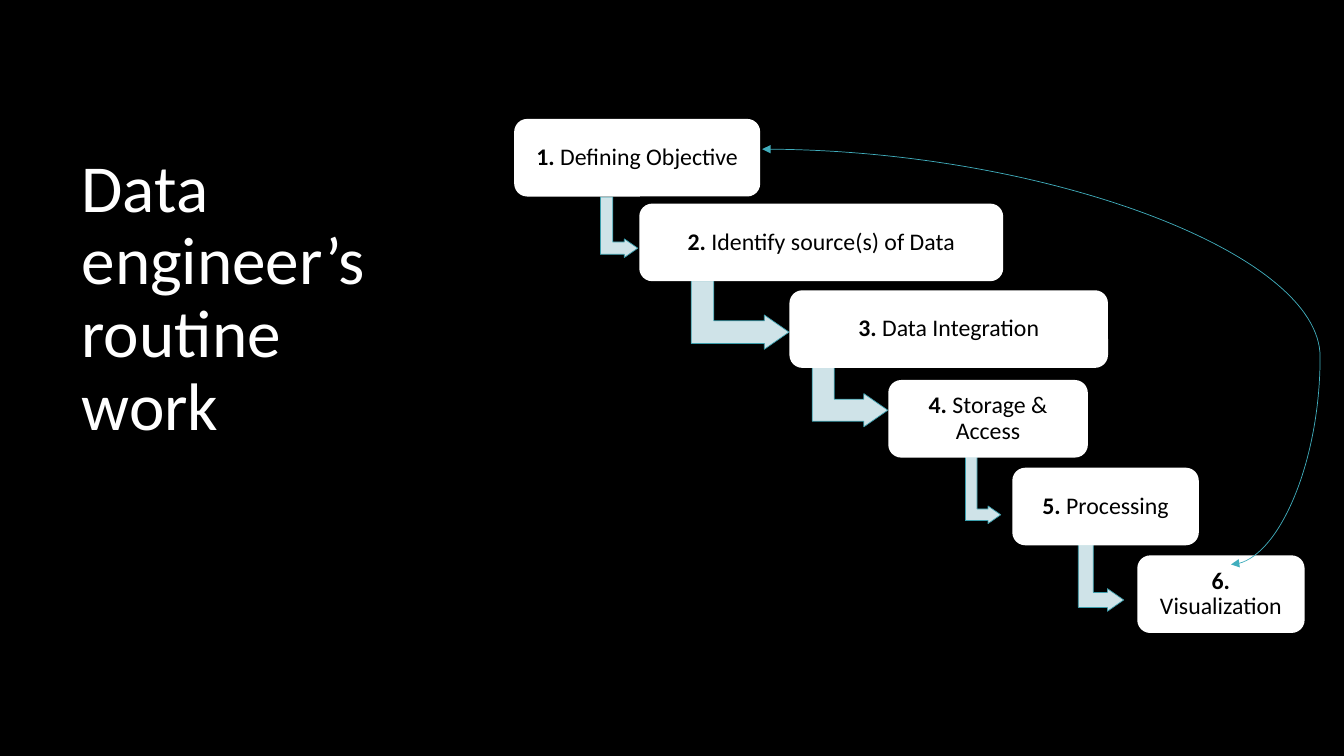
import pptx
import pptx.dml.color
import pptx.enum.shapes
import pptx.enum.text
import pptx.oxml.ns
import pptx.util
from lxml import etree

Inches = pptx.util.Inches
Shape = pptx.enum.shapes.MSO_SHAPE
Align = pptx.enum.text.PP_ALIGN
Anchor = pptx.enum.text.MSO_ANCHOR

COLORS = {"black": "000000", "white": "FFFFFF", "arrow": "CFE3E8",
          "arrow_edge": "3B9EAC", "loop": "41AEBD"}
STEP_HEIGHT = 0.77

# Step text, left, top, width
STEPS = [
    ("Defining Objective", 5.1, 1.18, 2.44),
    ("Identify source(s) of Data", 6.34, 2.02, 3.61),
    ("Data Integration", 7.83, 2.88, 3.16),
    ("Storage & Access", 8.81, 3.77, 1.98),
    ("Processing", 10.04, 4.64, 1.85),
    ("Visualization", 11.28, 5.51, 1.66),
]
# Frame of each arrow before its quarter turn
ARROWS = [
    (5.84, 2.07, 0.6, 0.37),
    (7, 2.64, 0.68, 0.97),
    (8.1, 3.53, 0.66, 0.75),
    (9.42, 4.69, 0.66, 0.35),
    (10.59, 5.51, 0.66, 0.45),
]


def color(name):
    return pptx.dml.color.RGBColor.from_string(COLORS[name])


def add_xml(parent, tag, **attributes):
    return etree.SubElement(parent, pptx.oxml.ns.qn(tag), attributes)


def set_all(target, values):
    for name, value in values.items():
        setattr(target, name, value)


class SlideBuilder:
    font = "Calibri"
    line_width = pptx.util.Pt(0.5)

    def __init__(self, deck):
        self.page = deck.slides.add_slide(deck.slide_layouts[5])
        fill = self.page.background.fill
        fill.solid()
        fill.fore_color.rgb = color("black")

    def shape(self, kind, frame, fill, line=None):
        box = self.page.shapes.add_shape(kind, *map(Inches, frame))
        box.shadow.inherit = False
        box.fill.solid()
        box.fill.fore_color.rgb = color(fill)
        if line:
            box.line.color.rgb = color(line)
            box.line.width = self.line_width
        else:
            box.line.fill.background()
        return box

    def span(self, para, text, size, ink, bold=False):
        span = para.add_run()
        span.text = text
        set_all(span.font, {"name": self.font, "size": pptx.util.Pt(size), "bold": bold})
        span.font.color.rgb = color(ink)

    def panel(self, frame, opacity=None):
        box = self.shape(Shape.RECTANGLE, frame, "black")
        if opacity:
            tint = box.element.spPr.find(".//" + pptx.oxml.ns.qn("a:srgbClr"))
            add_xml(tint, "a:alpha", val=str(opacity * 1000))
        # Panels lie behind the title
        self.page.shapes.title.element.addprevious(box.element)

    def title(self, text, frame):
        title = self.page.shapes.title
        set_all(title, dict(zip(("left", "top", "width", "height"), map(Inches, frame))))
        set_all(title.text_frame, {"word_wrap": True, "vertical_anchor": Anchor.TOP,
                                   "auto_size": pptx.enum.text.MSO_AUTO_SIZE.NONE})
        para = title.text_frame.paragraphs[0]
        set_all(para, {"alignment": Align.LEFT, "line_spacing": 0.9})
        self.span(para, text, 48, "white")

    def step(self, number, text, frame):
        box = self.shape(Shape.ROUNDED_RECTANGLE, frame, "white")
        inset = Inches(0.07)
        set_all(box.text_frame, {"word_wrap": True, "vertical_anchor": Anchor.MIDDLE,
                                 "margin_left": inset, "margin_right": inset,
                                 "margin_top": inset, "margin_bottom": inset})
        para = box.text_frame.paragraphs[0]
        set_all(para, {"alignment": Align.CENTER, "line_spacing": 0.9})
        self.span(para, f"{number}. ", 17, "black", bold=True)
        self.span(para, text, 17, "black")

    def bent_arrow(self, frame):
        arrow = self.shape(Shape.BENT_UP_ARROW, frame, "arrow", "arrow_edge")
        arrow.rotation = 90
        for index, value in enumerate((0.33, 0.25, 0.36)):
            arrow.adjustments[index] = value

    def loop(self, start, end, bend):
        curve = self.page.shapes.add_connector(
            pptx.enum.shapes.MSO_CONNECTOR.CURVE, *map(Inches, start + end))
        curve.line.color.rgb = color("loop")
        curve.line.width = self.line_width
        properties = curve.element.spPr
        # Bend of the curve, arrowheads at both ends, no shadow
        guides = properties.find(".//" + pptx.oxml.ns.qn("a:avLst"))
        add_xml(guides, "a:gd", name="adj1", fmla=f"val {round(bend * 100000)}")
        line = properties.find(pptx.oxml.ns.qn("a:ln"))
        for tag in ("a:headEnd", "a:tailEnd"):
            add_xml(line, tag, type="triangle")
        add_xml(properties, "a:effectLst")


def main():
    deck = pptx.Presentation()
    set_all(deck, {"slide_width": Inches(13.33), "slide_height": Inches(7.5)})
    slide = SlideBuilder(deck)

    # Panels and title
    slide.panel((4.45, 0, 8.88, 7.5), opacity=20)
    slide.panel((0, 0, 4.45, 7.5))
    slide.title("Data engineer’s routine work", (0.71, 1.48, 3.21, 4.87))

    # Staircase of steps, each arrow behind the step it leaves
    for index, (text, left, top, width) in enumerate(STEPS):
        if index < len(ARROWS):
            slide.bent_arrow(ARROWS[index])
        slide.step(index + 1, text, (left, top, width, STEP_HEIGHT))

    # Feedback from the last step to the first
    slide.loop((12.21, 5.6), (7.56, 1.48), bend=-0.19)

    deck.save("out.pptx")


if __name__ == "__main__":
    main()
